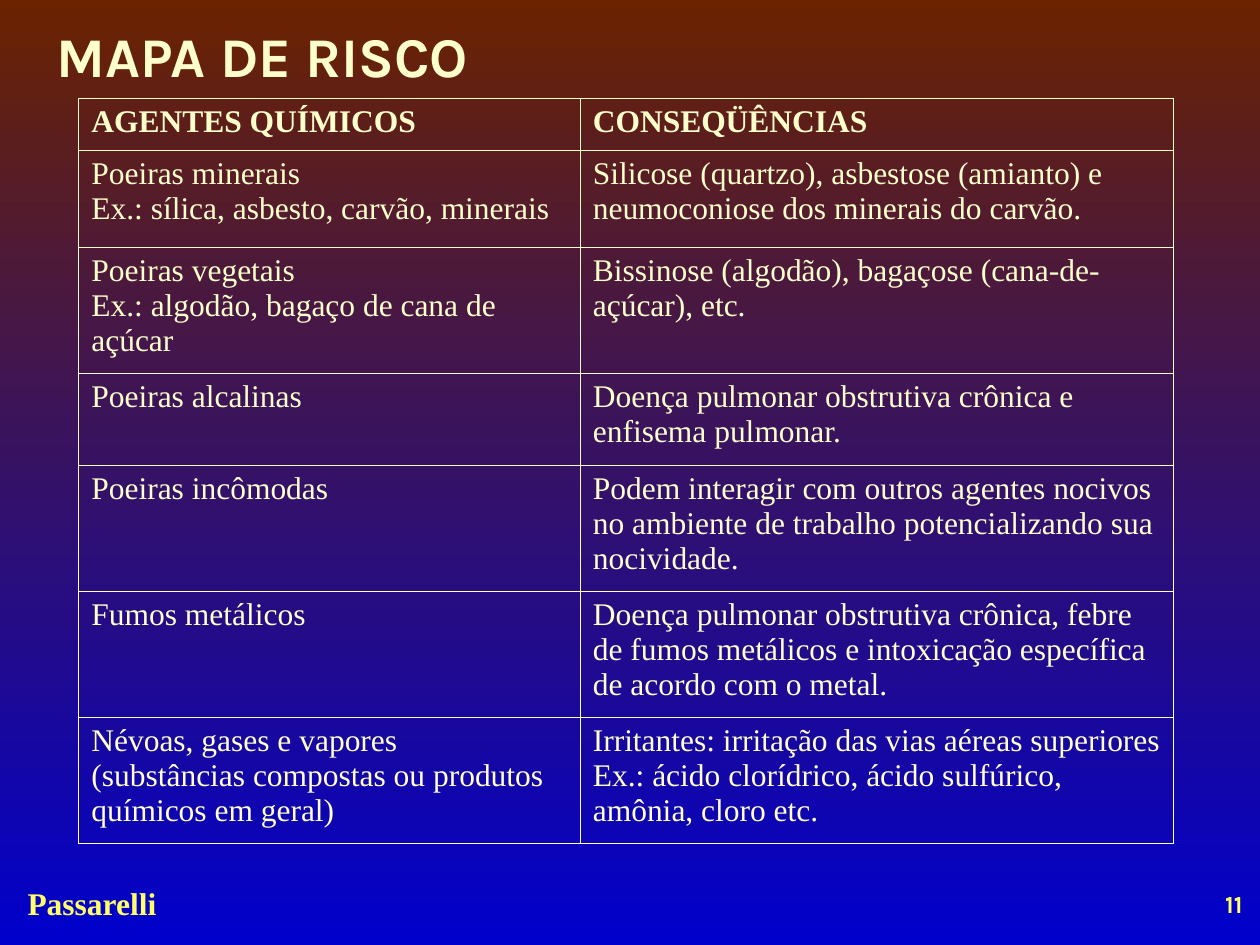
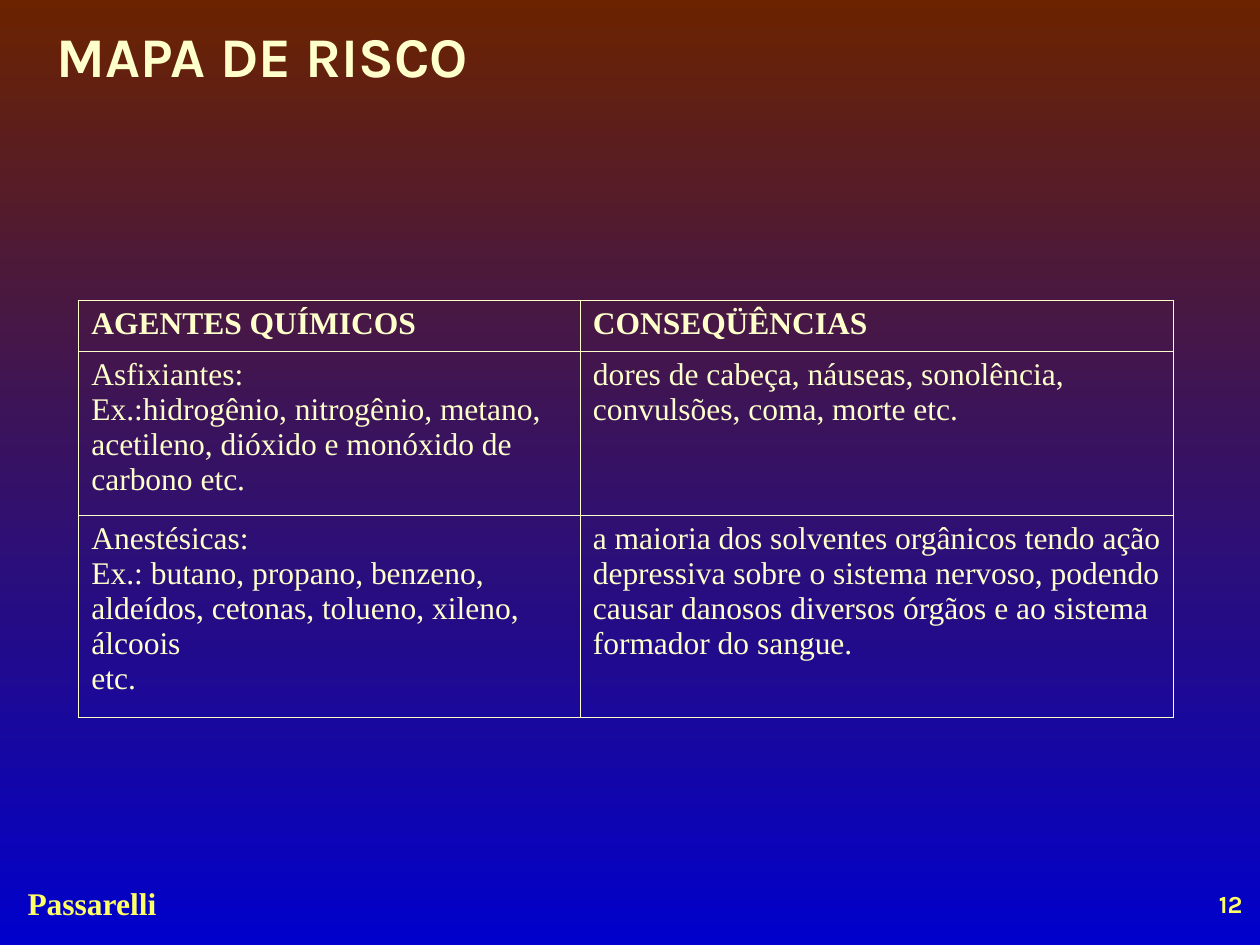
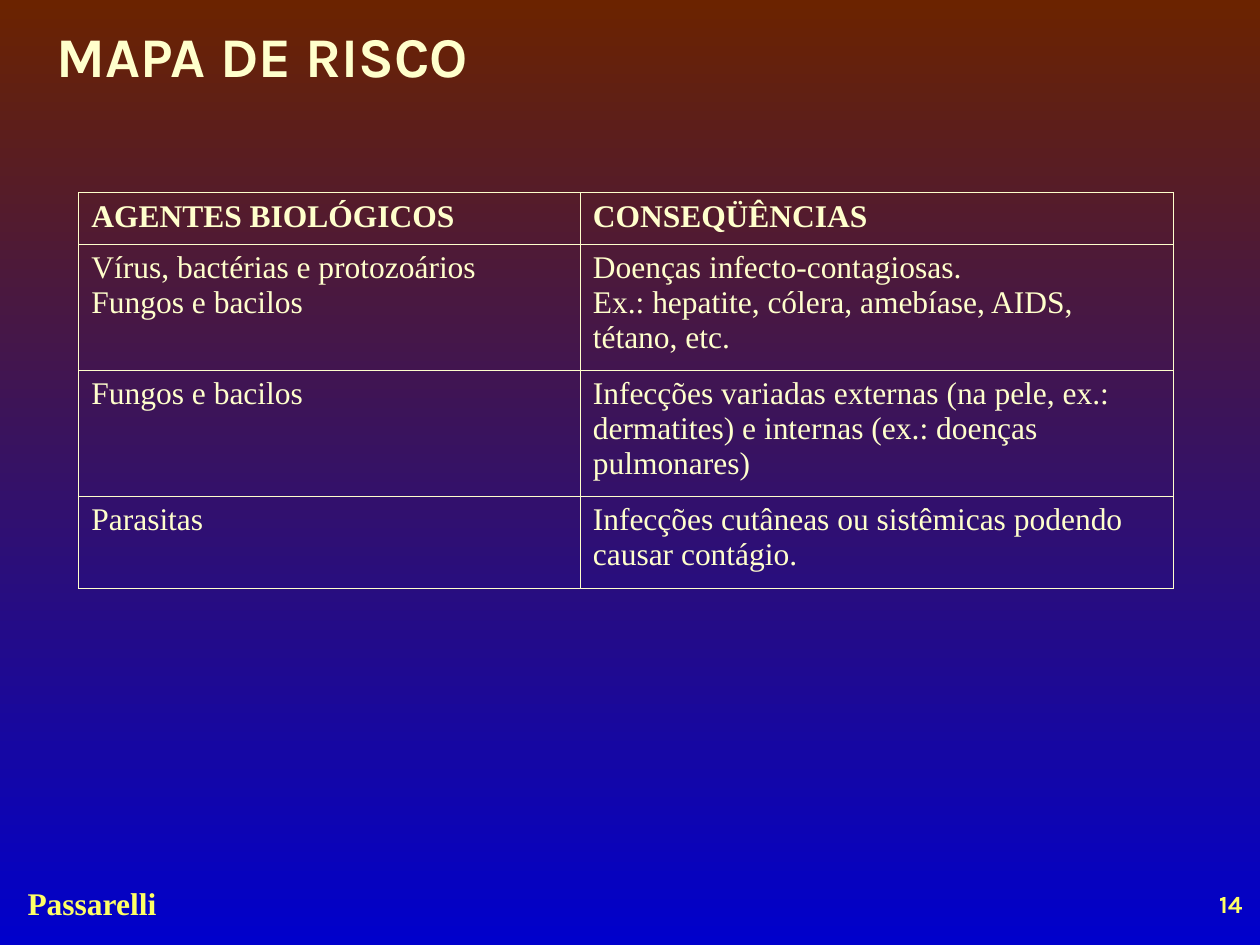
from dataclasses import dataclass

from lxml.etree import SubElement
from pptx import Presentation
from pptx.dml.color import RGBColor as Rgb
from pptx.enum.text import MSO_ANCHOR as Anchor, MSO_AUTO_SIZE as AutoSize, PP_ALIGN as Align
from pptx.oxml.ns import qn
from pptx.util import Inches, Pt


@dataclass(frozen=True)
class Theme:
    top: str = "6B2300"
    bottom: str = "0000CC"
    text: str = "FFFFCC"
    accent: str = "FFFF66"
    body_font: str = "Times New Roman"
    display_font: str = "Karla"
    title_size: int = 32
    body_size: int = 18
    number_size: int = 14
    border: float = 0.45


THEME = Theme()
GRID_COLUMNS, GRID_ROWS = 100, 75
TABLE_LEFT = 6.25
TABLE_COLUMNS = (39.8, 47.1)


def write(frame, text, *, color=THEME.text, font=THEME.body_font,
          size=THEME.body_size, bold=False, align=Align.LEFT):
    """Fill a text frame, one paragraph for each line of text."""
    frame.text = text
    frame.word_wrap = True
    for para in frame.paragraphs:
        para.alignment = align
        for span in para.runs:
            span.font.name = font
            span.font.size = Pt(size)
            span.font.bold = bold
            span.font.color.rgb = Rgb.from_string(color)


def draw_borders(cell):
    properties = cell._tc.get_or_add_tcPr()
    for side in ("a:lnL", "a:lnR", "a:lnT", "a:lnB"):
        line = SubElement(properties, qn(side), w=str(Pt(THEME.border)))
        fill = SubElement(line, qn("a:solidFill"))
        SubElement(fill, qn("a:srgbClr"), val=THEME.text)


class RiskDeck:
    def __init__(self):
        self.deck = Presentation()
        self.deck.slide_width, self.deck.slide_height = Inches(10), Inches(7.5)
        self.page = None
        # Shared background gradient
        fill = self.deck.slide_master.background.fill
        fill.gradient()
        fill.gradient_angle = 270
        for stop, color in zip(fill.gradient_stops, (THEME.top, THEME.bottom)):
            stop.color.rgb = Rgb.from_string(color)

    def across(self, columns):
        return round(self.deck.slide_width * columns / GRID_COLUMNS)

    def down(self, rows):
        return round(self.deck.slide_height * rows / GRID_ROWS)

    def place(self, left, top, width, height):
        return self.across(left), self.down(top), self.across(width), self.down(height)

    def add_page(self, number):
        self.page = self.deck.slides.add_slide(self.deck.slide_layouts[5])
        self.add_title("MAPA DE RISCO")
        self.add_text("Passarelli", (1.2, 69.7, 14.2, 4), color=THEME.accent, bold=True)
        self.add_text(str(number), (76.3, 70.1, 23.3, 5.2), color=THEME.accent, bold=True,
                      font=THEME.display_font, size=THEME.number_size, align=Align.RIGHT)

    def add_title(self, text):
        title = self.page.shapes.title
        title.left, title.top, title.width, title.height = self.place(0, 1.2, 41.7, 6.4)
        frame = title.text_frame
        frame.auto_size = AutoSize.NONE
        frame.vertical_anchor = Anchor.TOP
        write(frame, text, font=THEME.display_font, size=THEME.title_size,
              bold=True, align=Align.CENTER)

    def add_text(self, text, area, **style):
        box = self.page.shapes.add_textbox(*self.place(*area))
        write(box.text_frame, text, **style)

    def add_table(self, top, heights, rows):
        area = self.place(TABLE_LEFT, top, sum(TABLE_COLUMNS), sum(heights))
        table = self.page.shapes.add_table(len(rows), len(TABLE_COLUMNS), *area).table
        table.horz_banding = False
        for column, width in zip(table.columns, TABLE_COLUMNS):
            column.width = self.across(width)
        for index, (row, height, texts) in enumerate(zip(table.rows, heights, rows)):
            row.height = self.down(height)
            for cell, text in zip(row.cells, texts):
                write(cell.text_frame, text, bold=index == 0)
                draw_borders(cell)
                cell.fill.background()


# Page number, table top, row heights and cell texts
PAGES = [
    (11, 7.8, (4.1, 7.7, 10, 7.3, 10, 10, 10), [
        ("AGENTES QUÍMICOS", "CONSEQÜÊNCIAS"),
        ("Poeiras minerais\nEx.: sílica, asbesto, carvão, minerais",
         "Silicose (quartzo), asbestose (amianto) e neumoconiose dos minerais do carvão."),
        ("Poeiras vegetais\nEx.: algodão, bagaço de cana de açúcar",
         "Bissinose (algodão), bagaçose (cana-de-açúcar), etc."),
        ("Poeiras alcalinas", "Doença pulmonar obstrutiva crônica e enfisema pulmonar."),
        ("Poeiras incômodas",
         "Podem interagir com outros agentes nocivos no ambiente de trabalho "
         "potencializando sua nocividade."),
        ("Fumos metálicos",
         "Doença pulmonar obstrutiva crônica, febre de fumos metálicos e "
         "intoxicação específica de acordo com o metal."),
        ("Névoas, gases e vapores\n(substâncias compostas ou produtos químicos em geral)",
         "Irritantes: irritação das vias aéreas superiores\n"
         "Ex.: ácido clorídrico, ácido sulfúrico, amônia, cloro etc."),
    ]),
    (12, 23.8, (4.1, 13, 16), [
        ("AGENTES QUÍMICOS", "CONSEQÜÊNCIAS"),
        ("Asfixiantes:\nEx.:hidrogênio, nitrogênio, metano, acetileno, "
         "dióxido e monóxido de carbono etc.",
         "dores de cabeça, náuseas, sonolência, convulsões, coma, morte etc."),
        ("Anestésicas:\nEx.: butano, propano, benzeno, aldeídos, cetonas, "
         "tolueno, xileno, álcoois\netc.",
         "a maioria dos solventes orgânicos tendo ação depressiva sobre o sistema "
         "nervoso, podendo causar danosos diversos órgãos e ao sistema formador do sangue."),
    ]),
    (14, 15.3, (4.1, 10, 10, 7.3), [
        ("AGENTES BIOLÓGICOS", "CONSEQÜÊNCIAS"),
        ("Vírus, bactérias e protozoários Fungos e bacilos",
         "Doenças infecto-contagiosas.\nEx.: hepatite, cólera, amebíase, AIDS, tétano, etc."),
        ("Fungos e bacilos",
         "Infecções variadas externas (na pele, ex.:\n"
         "dermatites) e internas (ex.: doenças pulmonares)"),
        ("Parasitas", "Infecções cutâneas ou sistêmicas podendo causar contágio."),
    ]),
]


def main():
    risk = RiskDeck()
    for number, top, heights, rows in PAGES:
        risk.add_page(number)
        risk.add_table(top, heights, rows)
    risk.deck.save("out.pptx")


if __name__ == "__main__":
    main()
